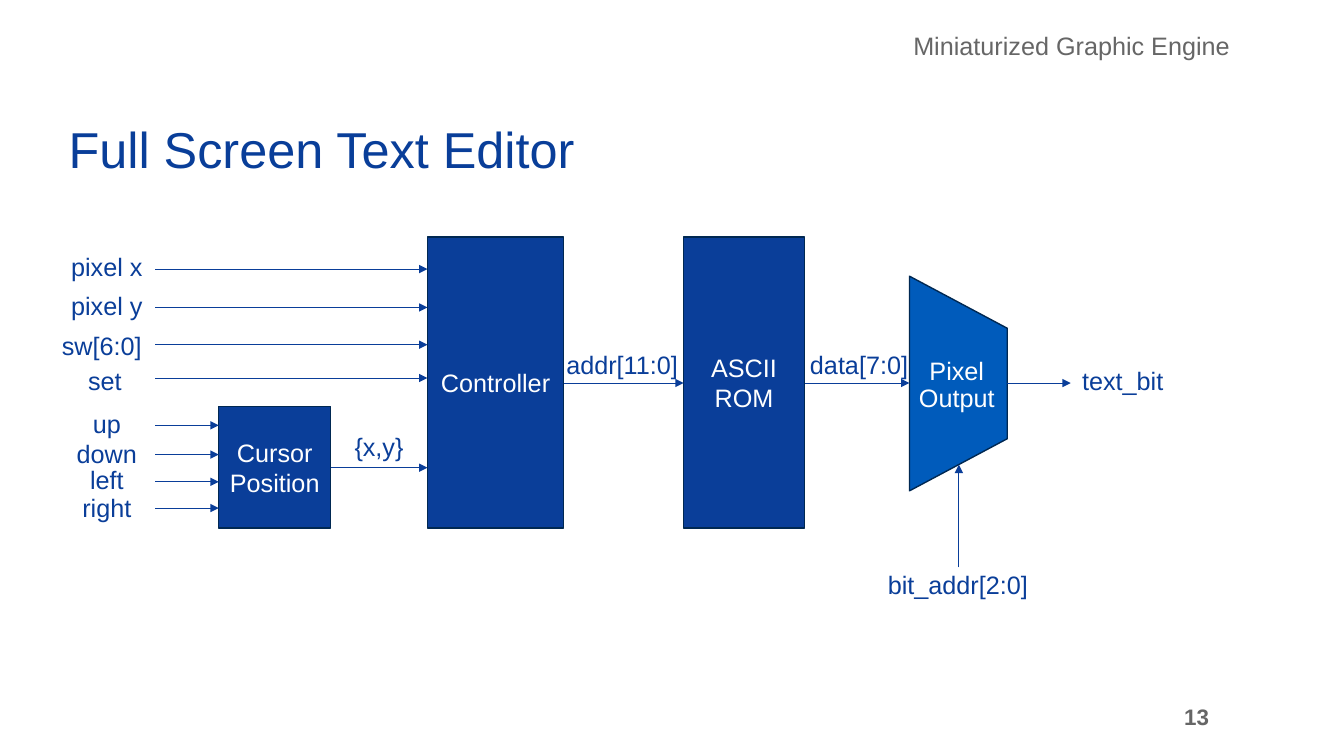
"""Build the block diagram slide of the full screen text editor."""
from lxml.etree import SubElement
from pptx import Presentation
from pptx.dml.color import RGBColor
from pptx.enum.shapes import MSO_CONNECTOR, MSO_SHAPE
from pptx.enum.text import MSO_ANCHOR, PP_ALIGN
from pptx.oxml.ns import qn
from pptx.util import Inches, Pt

COLORS = {"title": "093E99", "block": "0A3E99", "output": "005BBB",
          "border": "002852", "gray": "666666", "white": "FFFFFF"}
FONT = "Arial"
TITLE = "Full Screen Text Editor"
HEADER = "Miniaturized Graphic Engine"
PAGE_NUMBER = "13"

BLOCKS = [
    ("Cursor Position", 2.17, 4.03, 1.11, 1.21),
    ("Controller", 4.24, 2.35, 1.35, 2.89),
    ("ASCII ROM", 6.78, 2.35, 1.2, 2.89),
]
INPUT_LEFT, INPUT_WIDTH, LABEL_HEIGHT = 0.58, 0.96, 0.37
INPUT_END = INPUT_LEFT + INPUT_WIDTH
CONTROLLER_LEFT, CURSOR_LEFT = 4.24, 2.17
INPUTS = [
    ("pixel x", INPUT_LEFT, 2.48, 2.67, CONTROLLER_LEFT),
    ("pixel y", INPUT_LEFT, 2.86, 3.05, CONTROLLER_LEFT),
    ("sw[6:0]", 0.53, 3.26, 3.42, CONTROLLER_LEFT),
    ("set", 0.56, 3.61, 3.75, CONTROLLER_LEFT),
    ("up", INPUT_LEFT, 4.03, 4.22, CURSOR_LEFT),
    ("down", INPUT_LEFT, 4.33, 4.51, CURSOR_LEFT),
    ("left", INPUT_LEFT, 4.59, 4.78, CURSOR_LEFT),
    ("right", INPUT_LEFT, 4.87, 5.04, CURSOR_LEFT),
]
SIGNALS = [
    ("{x,y}", 3.28, 4.26, 0.96, (3.28, 4.64), (4.24, 4.64)),
    ("addr[11:0]", 5.49, 3.45, 1.36, (5.59, 3.8), (6.78, 3.8)),
    ("data[7:0]", 7.84, 3.45, 1.5, (7.98, 3.8), (9.02, 3.8)),
    ("text_bit", 10.56, 3.61, 1.15, (9.99, 3.8), (10.62, 3.8)),
    ("bit_addr[2:0]", 8.69, 5.63, 1.62, (9.51, 5.63), (9.51, 4.61)),
]
SIGNALS[2] = ("data[7:0]", 7.84, 3.45, 1.36, (7.98, 3.8), (9.02, 3.8))


def rgb(name):
    return RGBColor.from_string(COLORS[name])


def write(shape, text, color, size=18, align=PP_ALIGN.CENTER,
          anchor=MSO_ANCHOR.MIDDLE, spacing=1.0, bold=False):
    frame = shape.text_frame
    frame.word_wrap = True
    frame.vertical_anchor = anchor
    frame.text = text
    paragraph = frame.paragraphs[0]
    paragraph.alignment = align
    paragraph.line_spacing = spacing
    font = paragraph.runs[0].font
    font.name, font.size, font.bold = FONT, Pt(size), bold
    font.color.rgb = rgb(color)


def add_text(slide, box, text, color, **style):
    shape = slide.shapes.add_textbox(*map(Inches, box))
    write(shape, text, color, **style)
    return shape


def add_label(slide, text, left, top, width, height=LABEL_HEIGHT, color="block"):
    label = add_text(slide, (left, top, width, height), text, color,
                     anchor=MSO_ANCHOR.BOTTOM, spacing=0.9)
    label.text_frame.margin_left = label.text_frame.margin_right = 0


def add_block(slide, kind, box, fill):
    shape = slide.shapes.add_shape(kind, *map(Inches, box))
    shape.shadow.inherit = False
    shape.fill.solid()
    shape.fill.fore_color.rgb = rgb(fill)
    shape.line.color.rgb = rgb("border")
    shape.line.width = Pt(1)
    return shape


def add_arrow(slide, start, end):
    arrow = slide.shapes.add_connector(
        MSO_CONNECTOR.STRAIGHT, *map(Inches, start + end))
    arrow.line.color.rgb = rgb("block")
    arrow.line.width = Pt(0.5)
    SubElement(arrow.line._get_or_add_ln(), qn("a:tailEnd"), type="triangle")
    SubElement(arrow._element.spPr, qn("a:effectLst"))


def main():
    presentation = Presentation()
    presentation.slide_width = Inches(13.33)
    presentation.slide_height = Inches(7.5)
    slide = presentation.slides.add_slide(presentation.slide_layouts[5])

    title = slide.shapes.title
    title.left, title.top, title.width, title.height = map(
        Inches, (0.58, 1.18, 11.5, 0.65))
    write(title, TITLE, "title", size=36, align=PP_ALIGN.LEFT,
          anchor=MSO_ANCHOR.BOTTOM, spacing=0.9)
    add_text(slide, (8.96, 0.25, 4.2, 0.4), HEADER, "gray",
             align=PP_ALIGN.LEFT, anchor=MSO_ANCHOR.TOP)
    add_text(slide, (7.59, 6.91, 4.5, 0.4), PAGE_NUMBER, "gray", size=16,
             align=PP_ALIGN.RIGHT, bold=True)

    for text, *box in BLOCKS:
        write(add_block(slide, MSO_SHAPE.RECTANGLE, box, "block"), text, "white")
    output = add_block(slide, MSO_SHAPE.TRAPEZOID, (8.44, 3.32, 2.13, 0.97), "output")
    output.rotation = 90
    output.adjustments[0] = 0.533
    add_label(slide, "Pixel Output", 9.01, 3.5, 0.96, 0.65, "white")

    for text, left, top, arrow_y, target in INPUTS:
        add_label(slide, text, left, top, INPUT_WIDTH)
        add_arrow(slide, (INPUT_END, arrow_y), (target, arrow_y))
    for text, left, top, width, start, end in SIGNALS:
        add_label(slide, text, left, top, width)
        add_arrow(slide, start, end)

    presentation.save("out.pptx")


if __name__ == "__main__":
    main()
